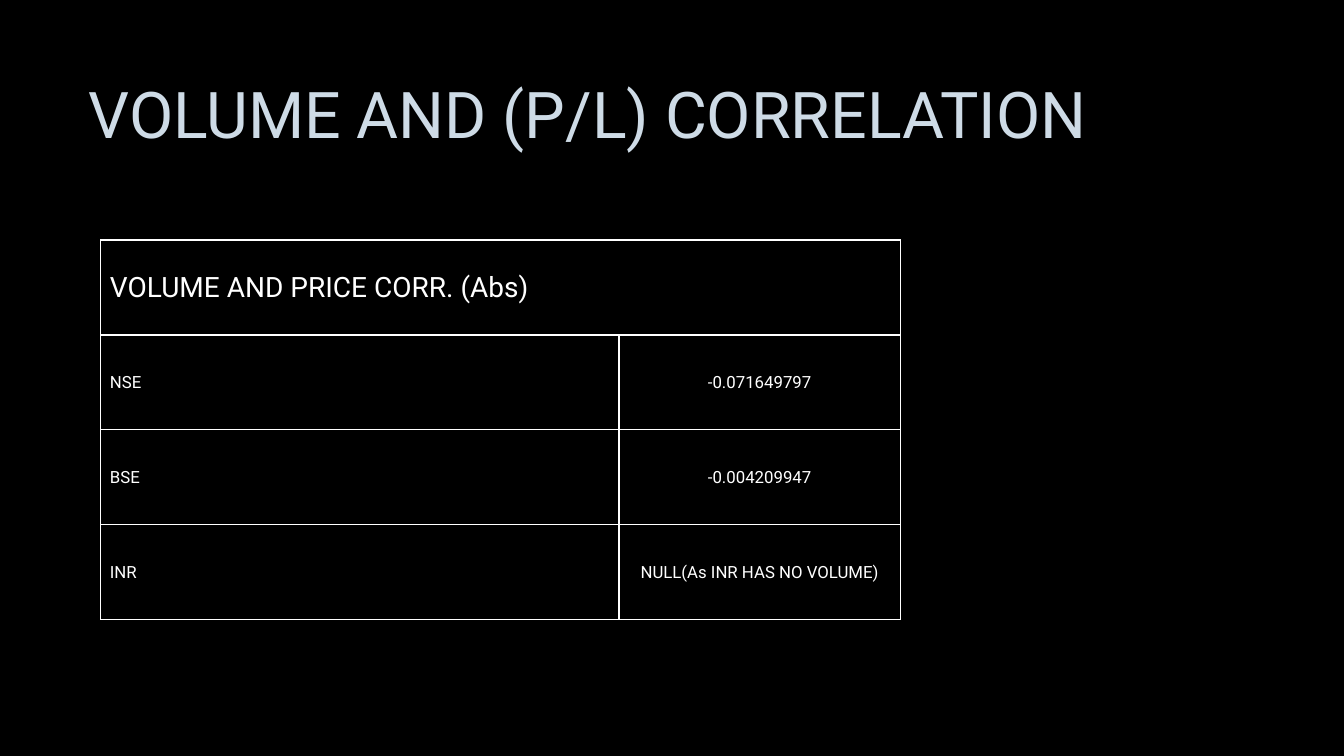
from dataclasses import dataclass
from lxml.etree import SubElement
from pptx import Presentation
from pptx.dml.color import RGBColor
from pptx.enum.text import MSO_ANCHOR, PP_ALIGN
from pptx.oxml import parse_xml
from pptx.oxml.ns import nsdecls, qn
from pptx.util import Cm, Pt


@dataclass(frozen=True)
class Theme:
    """Colours, font and type sizes."""
    font: str = "Roboto"
    background: str = "000000"
    title: str = "CEDBE6"
    outline: str = "404040"
    text: str = "FFFFFF"
    title_size: int = 46
    heading_size: int = 20
    body_size: int = 12


def set_attrs(obj, values):
    """Set each attribute of obj from a dict."""
    for name, value in values.items():
        setattr(obj, name, value)


def line_xml(tag, color, width, alpha=100):
    """Return a solid line element."""
    ln = parse_xml(f'<a:{tag} {nsdecls("a")} w="{Pt(width)}"/>')
    fill = SubElement(ln, qn("a:solidFill"))
    clr = SubElement(fill, qn("a:srgbClr"), val=color)
    if alpha < 100:
        SubElement(clr, qn("a:alpha"), val=str(alpha * 1000))
    SubElement(ln, qn("a:prstDash"), val="solid")
    return ln


class Deck:
    """Holds the theme and the current slide."""

    def __init__(self, prs, theme):
        """Add a blank slide with the theme background."""
        self.theme = theme
        self.s = prs.slides.add_slide(prs.slide_layouts[6])
        fill = self.s.background.fill
        fill.solid()
        fill.fore_color.rgb = RGBColor.from_string(theme.background)

    def add_text(self, tf, text, size, color, align):
        """Add one formatted run and return it with its paragraph."""
        p = tf.paragraphs[0]
        p.alignment = align
        r = p.add_run()
        r.text = text
        set_attrs(r.font, {"name": self.theme.font, "size": Pt(size), "bold": False})
        r.font.color.rgb = RGBColor.from_string(color)
        return p, r

    def title(self, text, left, top, width, height):
        """Add the centred title with its faint outline."""
        t = self.theme
        tf = self.s.shapes.add_textbox(Cm(left), Cm(top), Cm(width), Cm(height)).text_frame
        set_attrs(tf, {"word_wrap": True, "vertical_anchor": MSO_ANCHOR.MIDDLE})
        p, r = self.add_text(tf, text, t.title_size, t.title, PP_ALIGN.CENTER)
        p.line_spacing = 0.9
        r.font._element.insert(0, line_xml("ln", t.outline, 0.75, 10))

    def cell(self, cell, text, size, centred):
        """Format one cell with its text and four borders."""
        cell.fill.background()
        set_attrs(cell, {
            "vertical_anchor": MSO_ANCHOR.MIDDLE,
            "margin_left": Cm(0.03 if centred else 0.23),
            "margin_right": Cm(0.03),
            "margin_top": Cm(0.03),
            "margin_bottom": 0,
        })
        tcPr = cell._tc.get_or_add_tcPr()
        for i, side in enumerate("LRTB"):
            tcPr.insert(i, line_xml(f"ln{side}", self.theme.text, 1))
        if text:
            align = PP_ALIGN.CENTER if centred else PP_ALIGN.LEFT
            self.add_text(cell.text_frame, text, size, self.theme.text, align)

    def table(self, heading, rows, left, top, widths, row_height):
        """Add a bordered table under a heading row that spans it."""
        data = [(heading, ""), *rows]
        table = self.s.shapes.add_table(
            len(data), len(widths), Cm(left), Cm(top),
            Cm(sum(widths)), Cm(row_height * len(data))).table
        set_attrs(table, {"first_row": False, "horz_banding": False})
        for col, width in zip(table.columns, widths):
            col.width = Cm(width)
        for i, values in enumerate(data):
            table.rows[i].height = Cm(row_height)
            size = self.theme.body_size if i else self.theme.heading_size
            for j, text in enumerate(values):
                self.cell(table.cell(i, j), text, size, j > 0)
        table.cell(0, 0).merge(table.cell(0, len(widths) - 1))


def main():
    """Build and save the correlation slide."""
    prs = Presentation()
    set_attrs(prs, {"slide_width": Cm(33.87), "slide_height": Cm(19.05)})
    deck = Deck(prs, Theme())
    deck.title("VOLUME AND (P/L) CORRELATION", 0.43, 1.22, 28.75, 3.5)
    correlations = [
        ("NSE", "-0.071649797"),
        ("BSE", "-0.004209947"),
        ("INR", "NULL(As INR HAS NO VOLUME)"),
    ]
    deck.table("VOLUME AND PRICE CORR. (Abs)", correlations,
               2.54, 6.05, (13.06, 7.09), 2.39)
    prs.save("out.pptx")


if __name__ == "__main__":
    main()
